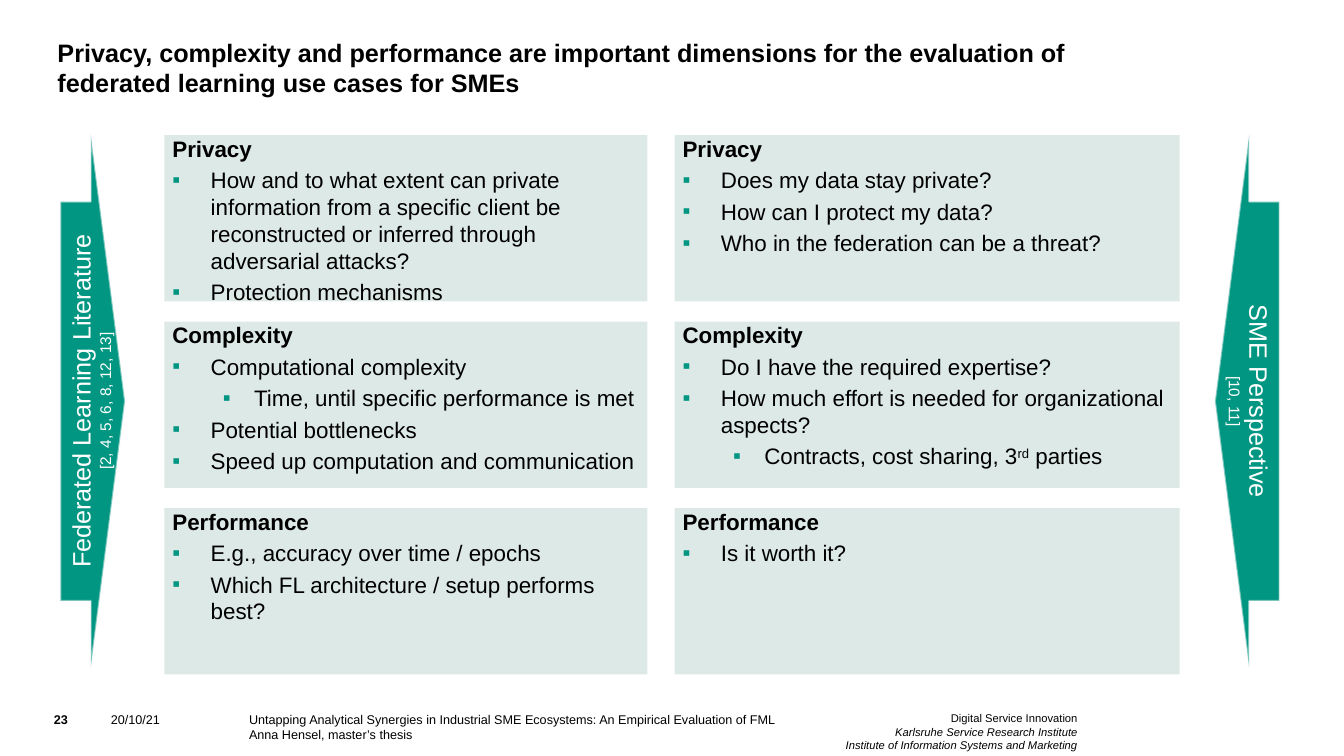
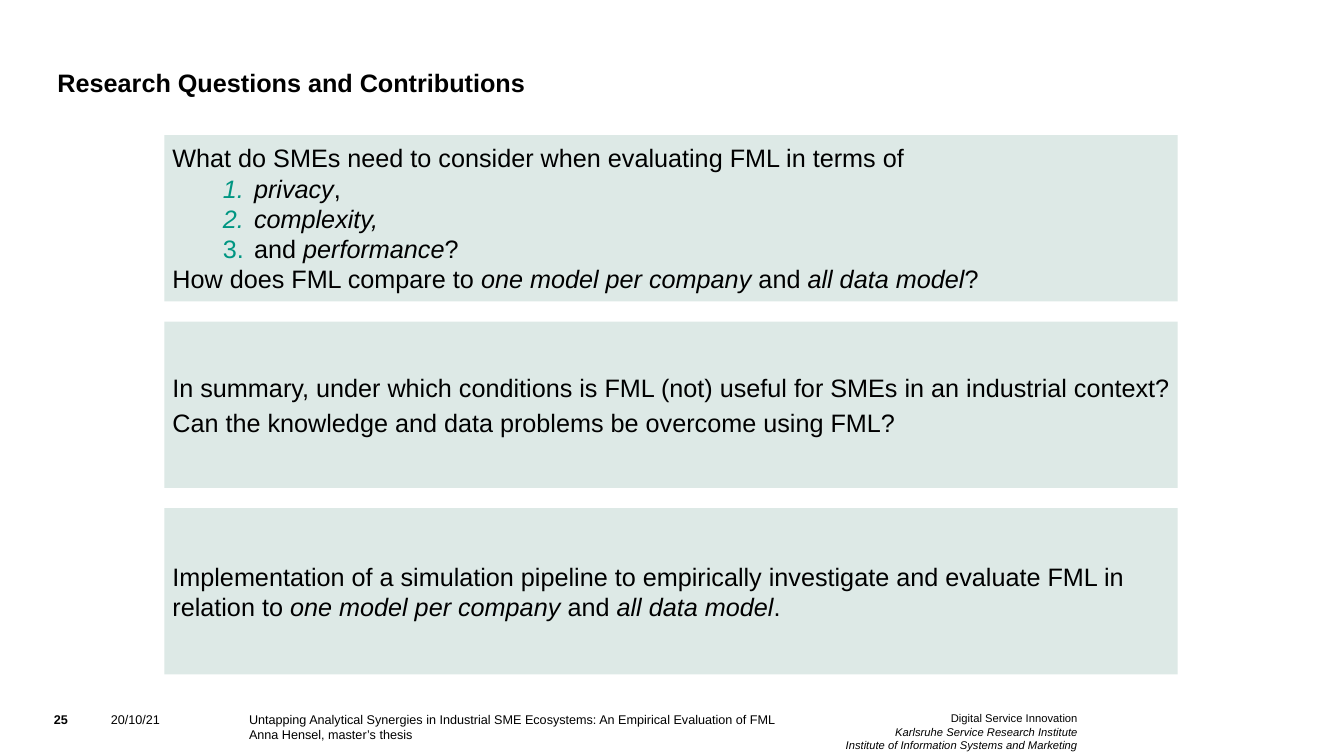
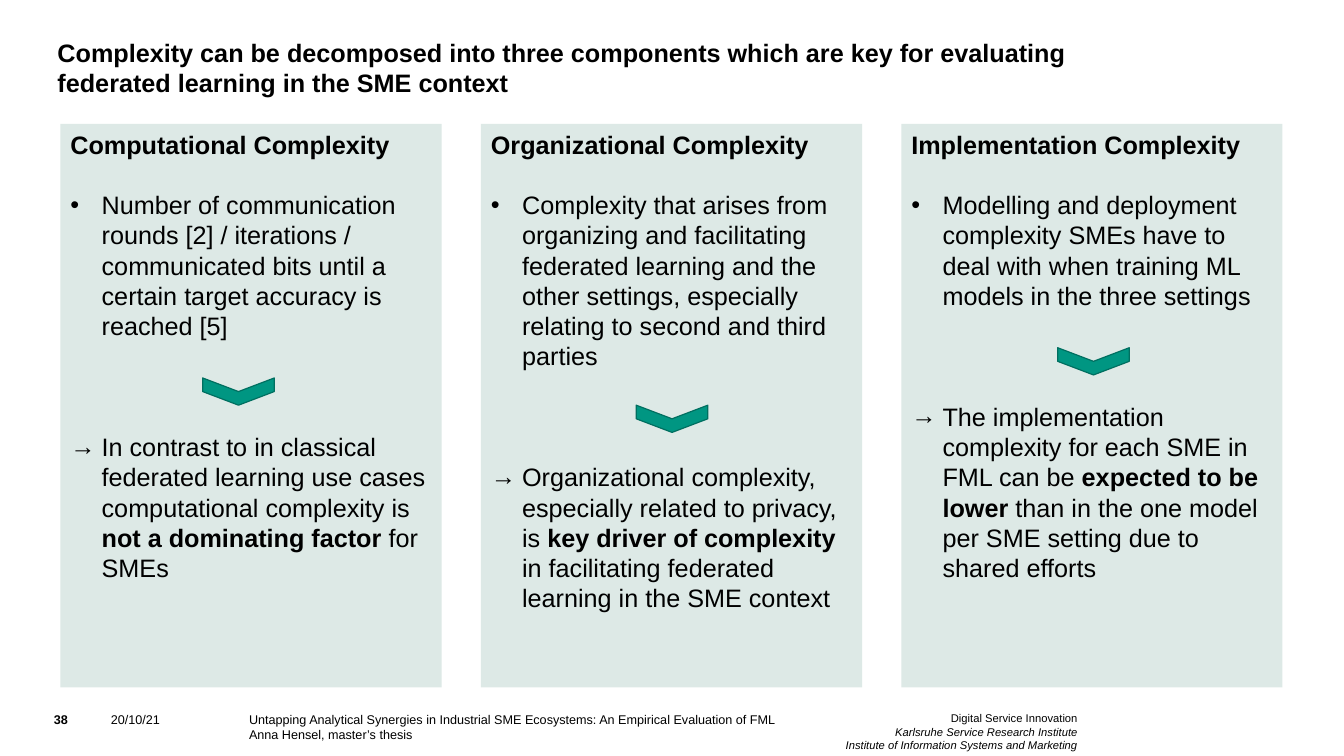
from dataclasses import dataclass
from typing import Optional

from lxml.etree import SubElement
from pptx import Presentation
from pptx.dml.color import RGBColor
from pptx.enum.shapes import MSO_SHAPE as Preset
from pptx.enum.text import MSO_ANCHOR as Anchor, PP_ALIGN as Align
from pptx.oxml.ns import qn
from pptx.util import Inches, Pt

BLACK = RGBColor(0x00, 0x00, 0x00)
WHITE = RGBColor(0xFF, 0xFF, 0xFF)
GREEN = RGBColor(0x00, 0x96, 0x82)
DARK_GREEN = RGBColor(0x00, 0x6F, 0x60)
PALE_GREEN = RGBColor(0xDD, 0xE9, 0xE6)
ARROW_EDGE = RGBColor(0xF9, 0xF9, 0xF9)
FONT = "Arial"
LINE_18 = 21.6  # height in points of one 18 pt line

ROW_TOP, ROW_STEP, ROW_HEIGHT = 1.34, 1.85, 1.65
PANEL_INSETS = (0.08, 0, 0, 0)
DEFAULT_INSETS = (0.1, 0.05, 0.1, 0.05)
NO_INSETS = (0, 0, 0, 0)


@dataclass(frozen=True)
class Span:
    text: str
    bold: bool = False
    italic: bool = False
    size: Optional[float] = None
    raised: bool = False


@dataclass(frozen=True)
class Bullet:
    """A paragraph marker; a mark of None numbers the paragraphs."""
    mark: Optional[str]
    indent: float
    hanging: float
    level: int = 0
    color: RGBColor = GREEN


@dataclass(frozen=True)
class Para:
    spans: tuple[Span, ...]
    bullet: Optional[Bullet] = None
    before: float = 0
    align: Align = Align.LEFT


@dataclass(frozen=True)
class Box:
    left: float
    top: float
    width: float
    height: float


@dataclass(frozen=True)
class Topic:
    heading: str
    points: tuple[Para, ...]


@dataclass(frozen=True)
class Component:
    heading: str
    definition: str
    finding: tuple[Span, ...]
    chevron_left: float
    chevron_top: float


@dataclass(frozen=True)
class SideArrow:
    left: float
    rotation: float
    label: str
    sources: str


SQUARE = Bullet("▪", 0.38, 0.38)
SUB_SQUARE = Bullet("▪", 0.81, 0.31, level=1)
NUMBER = Bullet(None, 0.81, 0.31, level=1)
DOT = Bullet("•", 0.31, 0.31, color=BLACK)
ARROW = Bullet("→", 0.31, 0.31, color=BLACK)


def point(*spans: str | Span, bullet: Bullet = SQUARE) -> Para:
    return Para(as_spans(spans), bullet, before=3.2)


def as_spans(parts) -> tuple[Span, ...]:
    return tuple(Span(part) if isinstance(part, str) else part for part in parts)


def plain(*parts: str | Span, bullet: Optional[Bullet] = None, before: float = 0) -> Para:
    return Para(as_spans(parts), bullet, before)


def italic(text: str) -> Span:
    return Span(text, italic=True)


def bold(text: str) -> Span:
    return Span(text, bold=True)


LITERATURE = (
    Topic("Privacy", (
        point("How and to what extent can private information from a specific client be "
              "reconstructed or inferred through adversarial attacks?"),
        point("Protection mechanisms"))),
    Topic("Complexity", (
        point("Computational complexity"),
        point("Time, until specific performance is met", bullet=SUB_SQUARE),
        point("Potential bottlenecks"),
        point("Speed up computation and communication"))),
    Topic("Performance", (
        point("E.g., accuracy over time / epochs"),
        point("Which FL architecture / setup performs best?"))),
)

SME_VIEW = (
    Topic("Privacy", (
        point("Does my data stay private?"),
        point("How can I protect my data?"),
        point("Who in the federation can be a threat?"))),
    Topic("Complexity", (
        point("Do I have the required expertise?"),
        point("How much effort is needed for organizational aspects?"),
        point("Contracts, cost sharing, 3", Span("rd", raised=True), " parties",
              bullet=SUB_SQUARE))),
    Topic("Performance", (point("Is it worth it?"),)),
)

SIDE_ARROWS = (
    SideArrow(0.6, 0, "Federated Learning Literature", "[2, 4, 5, 6, 8, 12, 13]"),
    SideArrow(12.05, 180, "SME Perspective", "[10, 11]"),
)

QUESTIONS = (
    (plain("What do SMEs need to consider when evaluating FML in terms of"),
     plain(italic("privacy"), ",", bullet=NUMBER),
     plain(italic("complexity,"), bullet=NUMBER),
     plain("and ", italic("performance"), "?", bullet=NUMBER),
     plain("How does FML compare to ", italic("one model per company"), " and ",
           italic("all data model"), "?")),
    (plain("In summary, under which conditions is FML (not) useful for SMEs in an "
           "industrial context?"),
     plain("Can the knowledge and data problems be overcome using FML?", before=3.6)),
    (plain("Implementation of a simulation pipeline to empirically investigate and "
           "evaluate FML in relation to ", italic("one model per company "), "and ",
           italic("all data model"), "."),),
)

COMPONENTS = (
    Component(
        "Computational Complexity",
        "Number of communication rounds [2] / iterations / communicated bits until a "
        "certain target accuracy is reached [5]",
        as_spans(("In contrast to in classical federated learning use cases computational "
                  "complexity is ", bold("not a dominating factor "), "for SMEs")),
        2.23, 3.53),
    Component(
        "Organizational Complexity",
        "Complexity that arises from organizing and facilitating federated learning and "
        "the other settings, especially relating to second and third parties",
        as_spans(("Organizational complexity, especially related to privacy, is ",
                  bold("key driver of complexity "),
                  "in facilitating federated learning in the SME context")),
        6.53, 3.8),
    Component(
        "Implementation Complexity",
        "Modelling and deployment complexity SMEs have to deal with when training ML "
        "models in the three settings",
        as_spans(("The implementation complexity for each SME in FML can be ",
                  bold("expected to be lower"),
                  " than in the one model per SME setting due to shared efforts")),
        10.71, 3.23),
)


def set_bullet(para, bullet: Bullet) -> None:
    props = para._p.get_or_add_pPr()
    props.set("marL", str(Inches(bullet.indent)))
    props.set("indent", str(-Inches(bullet.hanging)))
    para.level = bullet.level
    color = SubElement(props, qn("a:buClr"))
    SubElement(color, qn("a:srgbClr"), val=str(bullet.color))
    if bullet.mark is None:
        SubElement(props, qn("a:buAutoNum"), type="arabicPeriod")
    else:
        SubElement(props, qn("a:buFont"), typeface=FONT)
        SubElement(props, qn("a:buChar"), char=bullet.mark)


def add_span(para, span: Span, size: float, color: RGBColor) -> None:
    for index, line in enumerate(span.text.split("\n")):
        if index:
            para.add_line_break()
        if not line:
            continue
        run = para.add_run()
        run.text = line
        run.font.name = FONT
        run.font.size = Pt(span.size or size)
        run.font.bold = span.bold
        run.font.italic = span.italic
        run.font.color.rgb = color
        if span.raised:
            run._r.get_or_add_rPr().set("baseline", "30000")


def write(shape, paras: tuple[Para, ...], size: float, color: RGBColor = BLACK,
          insets: tuple = NO_INSETS, anchor: Anchor = Anchor.TOP) -> None:
    frame = shape.text_frame
    frame.word_wrap = True
    frame.vertical_anchor = anchor
    (frame.margin_left, frame.margin_top,
     frame.margin_right, frame.margin_bottom) = map(Inches, insets)
    for index, content in enumerate(paras):
        para = frame.add_paragraph() if index else frame.paragraphs[0]
        para.alignment = content.align
        para.space_before = Pt(content.before)
        if content.bullet:
            set_bullet(para, content.bullet)
        for span in content.spans:
            add_span(para, span, size, color)


def place(box: Box) -> tuple:
    return tuple(map(Inches, (box.left, box.top, box.width, box.height)))


def add_text(page, box: Box, paras: tuple[Para, ...], size: float,
             anchor: Anchor = Anchor.TOP) -> None:
    write(page.shapes.add_textbox(*place(box)), paras, size, anchor=anchor)


def add_filled(page, preset: Preset, box: Box, fill: RGBColor,
               edge: Optional[RGBColor] = None, edge_width: float = 0):
    shape = page.shapes.add_shape(preset, *place(box))
    shape.shadow.inherit = False
    shape.fill.solid()
    shape.fill.fore_color.rgb = fill
    if edge is None:
        shape.line.fill.background()
    else:
        shape.line.color.rgb = edge
        shape.line.width = Pt(edge_width)
    return shape


def add_panel(page, box: Box, paras: tuple[Para, ...], size: float,
              insets: tuple = PANEL_INSETS, anchor: Anchor = Anchor.TOP) -> None:
    panel = add_filled(page, Preset.RECTANGLE, box, PALE_GREEN)
    write(panel, paras, size, insets=insets, anchor=anchor)


def row_box(row: int, left: float, width: float) -> Box:
    return Box(left, ROW_TOP + row * ROW_STEP, width, ROW_HEIGHT)


def add_side_arrow(page, arrow: SideArrow) -> None:
    shape = add_filled(page, Preset.RIGHT_ARROW, Box(arrow.left, ROW_TOP, 0.64, 5.28),
                       GREEN, ARROW_EDGE, 1.35)
    shape.adjustments[0], shape.adjustments[1] = 0.75, 0.53
    shape.rotation = arrow.rotation
    edge = shape.line._ln.find(".//" + qn("a:srgbClr"))
    SubElement(edge, qn("a:alpha"), val="50000")
    label = (Span(arrow.label + "\n"), Span(arrow.sources, size=11))
    write(shape, (Para(label, align=Align.CENTER),), 18, WHITE, DEFAULT_INSETS)
    shape.text_frame._txBody.bodyPr.set("vert", "vert270")


def add_page(deck, title: str, number: int):
    """Add a slide with the shared title and footer."""
    page = deck.slides.add_slide(deck.slide_layouts[6])
    institute = (Span("Digital Service Innovation\n"),
                 italic("Karlsruhe Service Research Institute\n"
                        "Institute of Information Systems and Marketing"))
    add_text(page, Box(8.31, 7.06, 2.38, 0.39), (Para(institute, align=Align.RIGHT),), 8)
    add_text(page, Box(0.57, 0.36, 10.08, 0.61), (plain(bold(title)),), 18, Anchor.BOTTOM)
    add_text(page, Box(1.1, 7.06, 1.26, 0.4), (plain("20/10/21"),), 9)
    add_text(page, Box(0.37, 7.06, 0.47, 0.24),
             (Para((bold(str(number)),), align=Align.CENTER),), 9)
    add_text(page, Box(2.47, 7.06, 5.84, 0.39),
             (plain("Untapping Analytical Synergies in Industrial SME Ecosystems: "
                    "An Empirical Evaluation of FML"),
              plain("Anna Hensel, master’s thesis")), 9)
    return page


def add_dimensions_page(deck) -> None:
    page = add_page(deck, "Privacy, complexity and performance are important dimensions for "
                          "the evaluation of federated learning use cases for SMEs", 23)
    for left, width, topics in ((1.63, 4.79, LITERATURE), (6.69, 5.01, SME_VIEW)):
        for row, topic in enumerate(topics):
            paras = (plain(bold(topic.heading)), *topic.points)
            add_panel(page, row_box(row, left, width), paras, 16)
    for arrow in SIDE_ARROWS:
        add_side_arrow(page, arrow)


def add_questions_page(deck) -> None:
    page = add_page(deck, "Research Questions and Contributions", 25)
    for row, paras in enumerate(QUESTIONS):
        add_panel(page, row_box(row, 1.63, 10.05), paras, 18, anchor=Anchor.MIDDLE)


def add_components_page(deck) -> None:
    page = add_page(deck, "Complexity can be decomposed into three components which are key "
                          "for evaluating federated learning in the SME context", 38)
    for column, part in enumerate(COMPONENTS):
        paras = (plain(bold(part.heading)),
                 plain(part.definition, bullet=DOT, before=LINE_18),
                 plain(*part.finding, bullet=ARROW, before=3 * LINE_18))
        add_panel(page, Box(0.6 + column * 4.17, 1.23, 3.78, 5.59), paras, 18,
                  DEFAULT_INSETS)
    for part in COMPONENTS:
        chevron = add_filled(page, Preset.CHEVRON,
                             Box(part.chevron_left, part.chevron_top, 0.27, 0.71),
                             GREEN, DARK_GREEN, 0.85)
        chevron.rotation = 90


def main() -> None:
    deck = Presentation()
    deck.slide_width, deck.slide_height = Inches(13.33), Inches(7.5)
    add_dimensions_page(deck)
    add_questions_page(deck)
    add_components_page(deck)
    deck.save("out.pptx")


if __name__ == "__main__":
    main()
